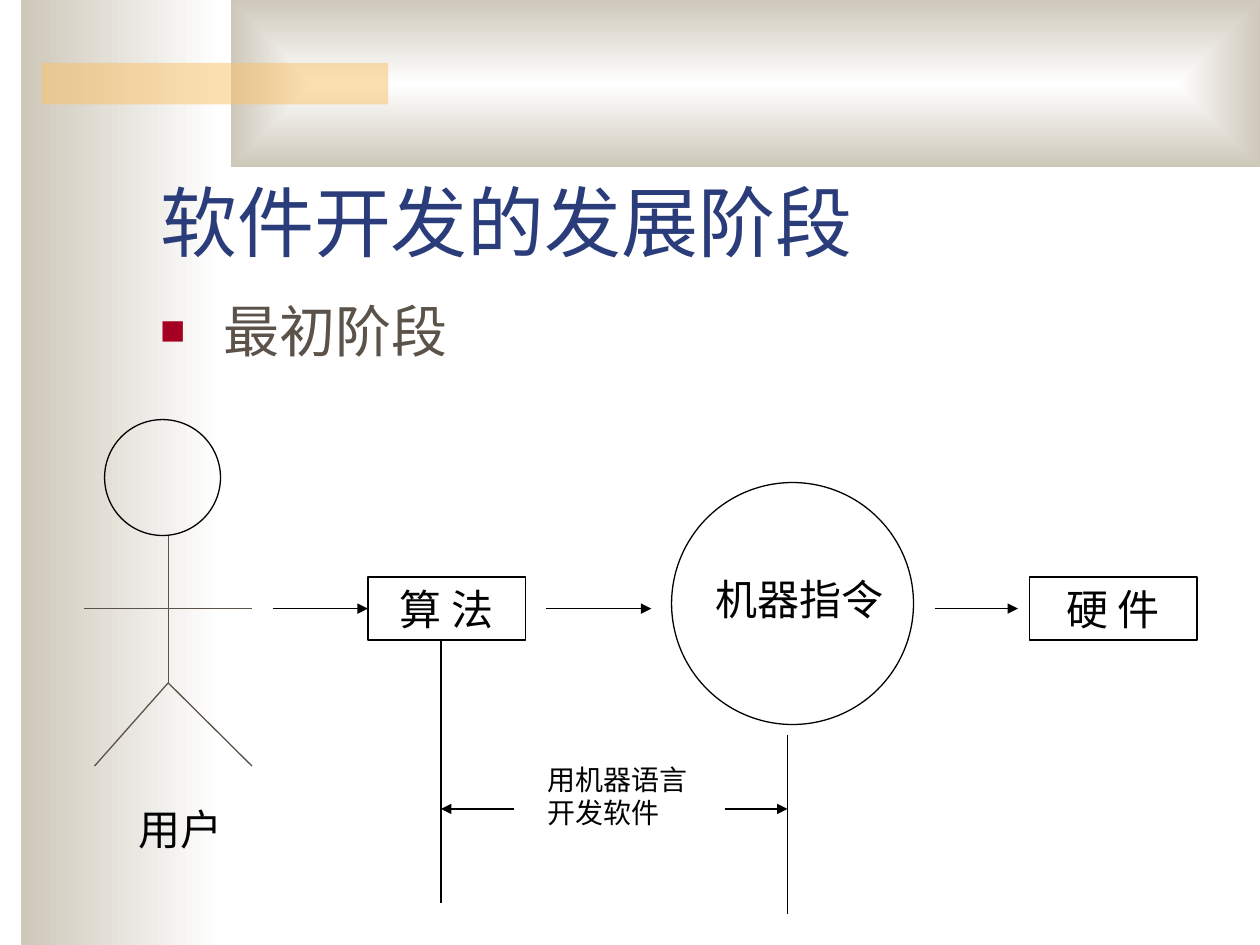
from lxml import etree
from pptx import Presentation
from pptx.dml.color import RGBColor
from pptx.enum.dml import MSO_FILL
from pptx.enum.shapes import MSO_CONNECTOR, MSO_SHAPE
from pptx.enum.text import MSO_ANCHOR, MSO_AUTO_SIZE, PP_ALIGN
from pptx.oxml.ns import qn
from pptx.util import Inches, Pt

RECT, OVAL = MSO_SHAPE.RECTANGLE, MSO_SHAPE.OVAL
STRAIGHT = MSO_CONNECTOR.STRAIGHT
TOP, MIDDLE, BOTTOM = MSO_ANCHOR.TOP, MSO_ANCHOR.MIDDLE, MSO_ANCHOR.BOTTOM
LEFT, CENTER = PP_ALIGN.LEFT, PP_ALIGN.CENTER
FIXED = MSO_AUTO_SIZE.NONE
GRADIENT = MSO_FILL.GRADIENT
FONT = "Times New Roman"
BLACK, INK, BROWN, NAVY = "000000", "020202", "5B5249", "2A3D7A"
WHITE, SAND, GOLD, RED = "FFFFFF", "CEC8BA", "FAC164", "A50021"


def paint(color, value):
    """Give a colour format its hex value."""
    color.rgb = RGBColor.from_string(value)


def assign(target, values):
    """Set attributes from a dict of format values."""
    for name, value in values.items():
        setattr(target, name, value)


def place(shape, box):
    """Move a shape into a box given in inches."""
    names = ("left", "top", "width", "height")
    assign(shape, dict(zip(names, map(Inches, box))))


def write(shape, text, size, color=INK, align=LEFT, anchor=TOP):
    """Fill a shape with one formatted paragraph."""
    frame = shape.text_frame
    assign(frame, {"text": text, "word_wrap": True, "auto_size": FIXED,
                   "vertical_anchor": anchor})
    para = frame.paragraphs[0]
    para.alignment = align
    font = para.runs[0].font
    assign(font, {"name": FONT, "size": Pt(size)})
    paint(font.color, color)
    return para


def label(slide, box, text, size):
    """Add a free text box."""
    write(slide.shapes.add_textbox(*map(Inches, box)), text, size)


def outline(slide, kind, box):
    """Add an unfilled shape with a thin black line."""
    shape = slide.shapes.add_shape(kind, *map(Inches, box))
    shape.shadow.inherit = False
    shape.fill.background()
    shape.line.width = Pt(0.75)
    paint(shape.line.color, BLACK)
    return shape


def link(slide, start, end, color=BLACK, arrow=False):
    """Add a straight line, with an arrowhead at its end if asked."""
    line = slide.shapes.add_connector(STRAIGHT, *map(Inches, start + end))
    line.line.width = Pt(0.75)
    paint(line.line.color, color)
    if arrow:
        etree.SubElement(line.line._get_or_add_ln(), qn("a:tailEnd"), type="triangle")
    etree.SubElement(line.element.spPr, qn("a:effectLst"))
    return line


def band(slide, box):
    """Add a plain bar without a line."""
    shape = slide.shapes.add_shape(RECT, *map(Inches, box))
    shape.shadow.inherit = False
    shape.line.fill.background()
    return shape


def shade(shape):
    """Fill a bar with the white to sand gradient."""
    shape.fill.gradient()
    for stop, color in zip(shape.fill.gradient_stops, (WHITE, SAND)):
        paint(stop.color, color)
    if shape.fill.type == GRADIENT:
        shape.fill.gradient_angle = 180
    return shape.element.spPr.find(qn("a:gradFill"))


def decor(slide, box):
    """Draw the side, top and accent bars."""
    x, y, w, h = box
    shade(band(slide, (x + 0.17, y, 1.58, h)))
    grad = shade(band(slide, (x + 1.83, y, w - 1.83, 1.33)))
    grad.remove(grad.find(qn("a:lin")))
    focus = etree.SubElement(grad, qn("a:path"), {"path": "rect"})
    half = dict.fromkeys("ltrb", "50000")
    etree.SubElement(focus, qn("a:fillToRect"), half)
    accent = band(slide, (x + 0.33, y + 0.5, 2.75, 0.33))
    accent.fill.solid()
    paint(accent.fill.fore_color, GOLD)
    tint = accent.element.spPr.find(".//" + qn("a:srgbClr"))
    etree.SubElement(tint, qn("a:alpha"), val="50000")


def heading(slide, box):
    """Place the title in front of the bars."""
    title = slide.shapes.title
    slide.shapes.element.append(title.element)
    place(title, box)
    write(title, "软件开发的发展阶段", 44, NAVY, anchor=BOTTOM)


def points(slide, box):
    """Place the bulleted list in front of the bars."""
    body = slide.placeholders[1]
    slide.shapes.element.append(body.element)
    place(body, box)
    para = write(body, "最初阶段", 32, BROWN)
    para.space_before = Pt(8)
    props = para._p.get_or_add_pPr()
    props.set("marL", str(Inches(0.5)))
    props.set("indent", str(-Inches(0.5)))
    hue = etree.SubElement(props, qn("a:buClr"))
    etree.SubElement(hue, qn("a:srgbClr"), val=RED)
    etree.SubElement(props, qn("a:buSzPct"), val="75000")
    etree.SubElement(props, qn("a:buChar"), char="■")


def user(slide, box):
    """Draw the stick figure and its label."""
    x, y, w, h = box
    mid, hip, foot = x + w / 2, y + 2.09, y + h
    outline(slide, OVAL, (x + 0.16, y, 0.92, 0.92))
    limbs = (((x, y + 1.5), (x + w, y + 1.5)),
             ((mid, y + 0.92), (mid, hip)),
             ((mid, hip), (x + 0.08, foot)),
             ((mid, hip), (x + w, foot)))
    for start, end in limbs:
        link(slide, start, end, BROWN)
    label(slide, (x + 0.33, foot + 0.25, 1.08, 0.5), "用户", 24)


def flow(slide, box):
    """Draw the chain from algorithm to hardware."""
    x, y, w, h = box
    mid = y + 1
    nodes = []
    for left, wide, text in ((0.75, 1.25, "算 法"), (w - 1.33, 1.33, "硬 件")):
        node = outline(slide, RECT, (x + left, y + 0.75, wide, 0.5))
        write(node, text, 24, align=CENTER, anchor=MIDDLE)
        nodes.append(node)
    outline(slide, OVAL, (x + 3.16, y, h, h))
    label(slide, (x + 3.41, y + 0.67, 1.75, 0.5), "机器指令", 24)
    arrows = [link(slide, (x + start, mid), (x + end, mid), arrow=True)
              for start, end in ((0, 0.75), (2.16, 3), (5.25, 5.91))]
    arrows[0].end_connect(nodes[0], 1)


def span(slide, box):
    """Mark the stretch covered by machine language."""
    x, y, w, h = box
    right, mid = x + w, y + 1.34
    link(slide, (x, y), (x, y + 2.09))
    link(slide, (right, y + 0.75), (right, y + h))
    link(slide, (right - 0.5, mid), (right, mid), arrow=True)
    link(slide, (x + 0.58, mid), (x, mid), arrow=True)
    label(slide, (x + 0.75, y + 0.92, 1.42, 0.64), "用机器语言开发软件", 16)


def main():
    """Build the slide and save it."""
    deck = Presentation()
    assign(deck, {"slide_width": Inches(10), "slide_height": Inches(7.5)})
    slide = deck.slides.add_slide(deck.slide_layouts[1])
    decor(slide, (0, 0, 10, 7.5))
    heading(slide, (1.17, 0.92, 8.5, 1.25))
    points(slide, (1.17, 2.3, 8.5, 4.5))
    user(slide, (0.67, 3.33, 1.33, 2.75))
    flow(slide, (2.17, 3.83, 7.33, 1.92))
    span(slide, (3.5, 5.08, 2.75, 2.17))
    deck.save("out.pptx")


if __name__ == "__main__":
    main()
